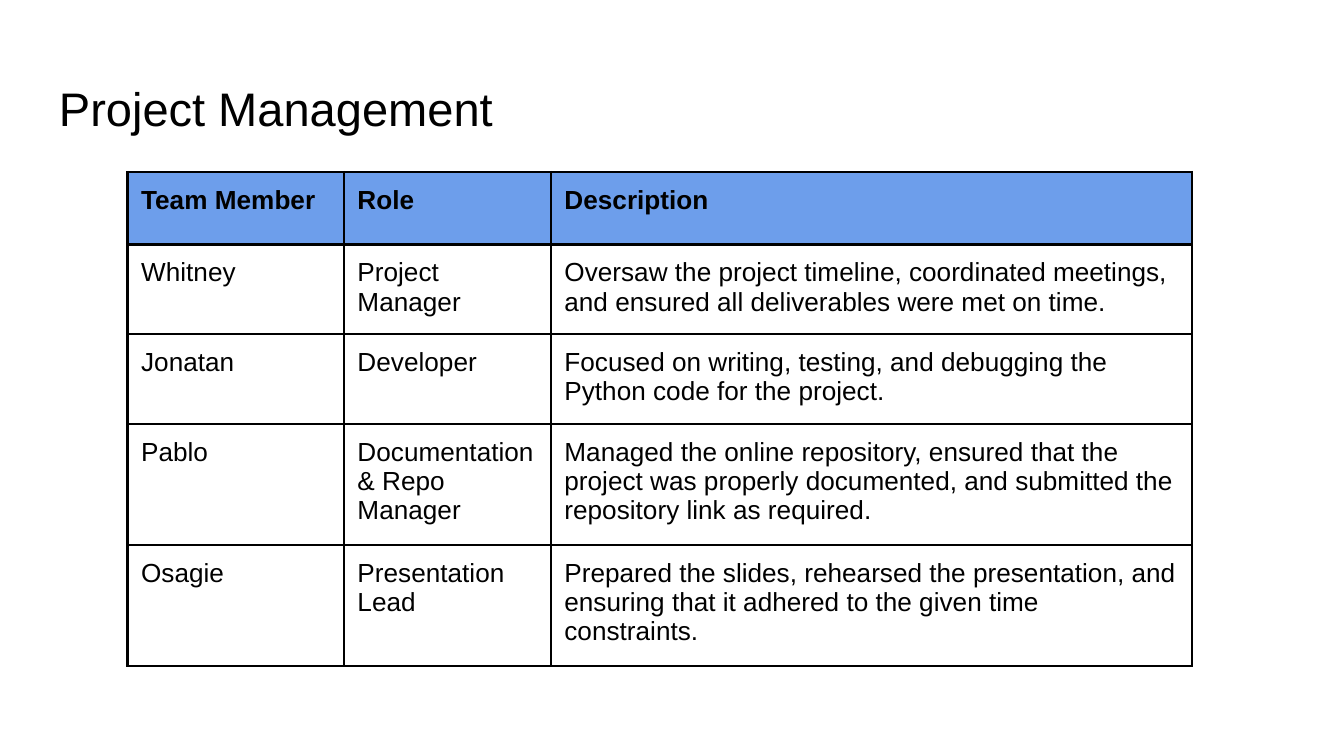
from typing import NamedTuple

from lxml.etree import SubElement
from pptx import Presentation
from pptx.dml.color import RGBColor
from pptx.enum.text import MSO_ANCHOR
from pptx.oxml import parse_xml
from pptx.oxml.ns import nsdecls, qn
from pptx.util import Inches, Pt

COLORS = {"text": "000000", "border": "000000", "header": "6D9EEB"}
FONT = "Arial"
INSET = Inches(0.1)
MARGINS = {f"margin_{side}": INSET for side in ("left", "top", "right", "bottom")}
BORDER_WIDTH = Pt(1.5)
SLIDE_WIDTH = Inches(10)
SLIDE_HEIGHT = SLIDE_WIDTH * 9 // 16
FRAME_SIZE = Inches(3.28)
COLUMN_WIDTHS = (1.61, 1.54, 4.77)
ROW_HEIGHTS = (0.54, 0.54, 0.52, 0.52, 0.52)


class Assignment(NamedTuple):
    member: str
    role: str
    description: str


HEADINGS = Assignment("Team Member", "Role", "Description")
TEAM = [
    Assignment("Whitney", "Project Manager",
               "Oversaw the project timeline, coordinated meetings, "
               "and ensured all deliverables were met on time."),
    Assignment("Jonatan", "Developer",
               "Focused on writing, testing, and debugging the "
               "Python code for the project."),
    Assignment("Pablo", "Documentation & Repo Manager",
               "Managed the online repository, ensured that the project was "
               "properly documented, and submitted the repository link as required."),
    Assignment("Osagie", "Presentation Lead",
               "Prepared the slides, rehearsed the presentation, and ensuring "
               "that it adhered to the given time constraints."),
]


def apply_format(target, values: dict) -> None:
    for name, value in values.items():
        setattr(target, name, value)


def write_text(frame, text: str, size: float, bold: bool = False) -> None:
    run = frame.paragraphs[0].add_run()
    run.text = text
    apply_format(run.font, {"name": FONT, "size": Pt(size), "bold": bold})
    run.font.color.rgb = RGBColor.from_string(COLORS["text"])


def add_borders(cell) -> None:
    """Outline all four sides; lines must precede the fill in the cell XML."""
    properties = cell._tc.get_or_add_tcPr()
    for position, side in enumerate(("lnL", "lnR", "lnT", "lnB")):
        line = parse_xml(f'<a:{side} {nsdecls("a")} w="{BORDER_WIDTH}"/>')
        fill = SubElement(line, qn("a:solidFill"))
        SubElement(fill, qn("a:srgbClr"), val=COLORS["border"])
        properties.insert(position, line)


def write_cell(cell, text: str, is_heading: bool) -> None:
    apply_format(cell, MARGINS)
    write_text(cell.text_frame, text, 14, is_heading)
    if is_heading:
        cell.fill.solid()
        cell.fill.fore_color.rgb = RGBColor.from_string(COLORS["header"])
    else:
        cell.fill.background()
    add_borders(cell)


def add_title(slide, text: str) -> None:
    title = slide.shapes.add_textbox(Inches(0.34), Inches(0.49), Inches(9.32), Inches(0.63))
    frame = title.text_frame
    apply_format(frame, {**MARGINS, "word_wrap": True,
                         "vertical_anchor": MSO_ANCHOR.MIDDLE})
    write_text(frame, text, 25.2)


def add_team_table(slide, rows: list[Assignment]) -> None:
    """Fill the table, then restore the frame size that row heights reset."""
    frame = slide.shapes.add_table(len(rows), len(COLUMN_WIDTHS), Inches(0.95),
                                   Inches(1.28), FRAME_SIZE, FRAME_SIZE)
    team_table = frame.table
    apply_format(team_table, {"first_row": False, "horz_banding": False})
    for column, width in zip(team_table.columns, COLUMN_WIDTHS):
        column.width = Inches(width)
    for index, (row, height) in enumerate(zip(team_table.rows, ROW_HEIGHTS)):
        row.height = Inches(height)
        for cell, text in zip(row.cells, rows[index]):
            write_cell(cell, text, is_heading=index == 0)
    apply_format(frame, {"width": FRAME_SIZE, "height": FRAME_SIZE})


def main() -> None:
    presentation = Presentation()
    apply_format(presentation, {"slide_width": SLIDE_WIDTH, "slide_height": SLIDE_HEIGHT})
    slide = presentation.slides.add_slide(presentation.slide_layouts[6])
    add_title(slide, "Project Management")
    add_team_table(slide, [HEADINGS, *TEAM])
    presentation.save("out.pptx")


if __name__ == "__main__":
    main()
